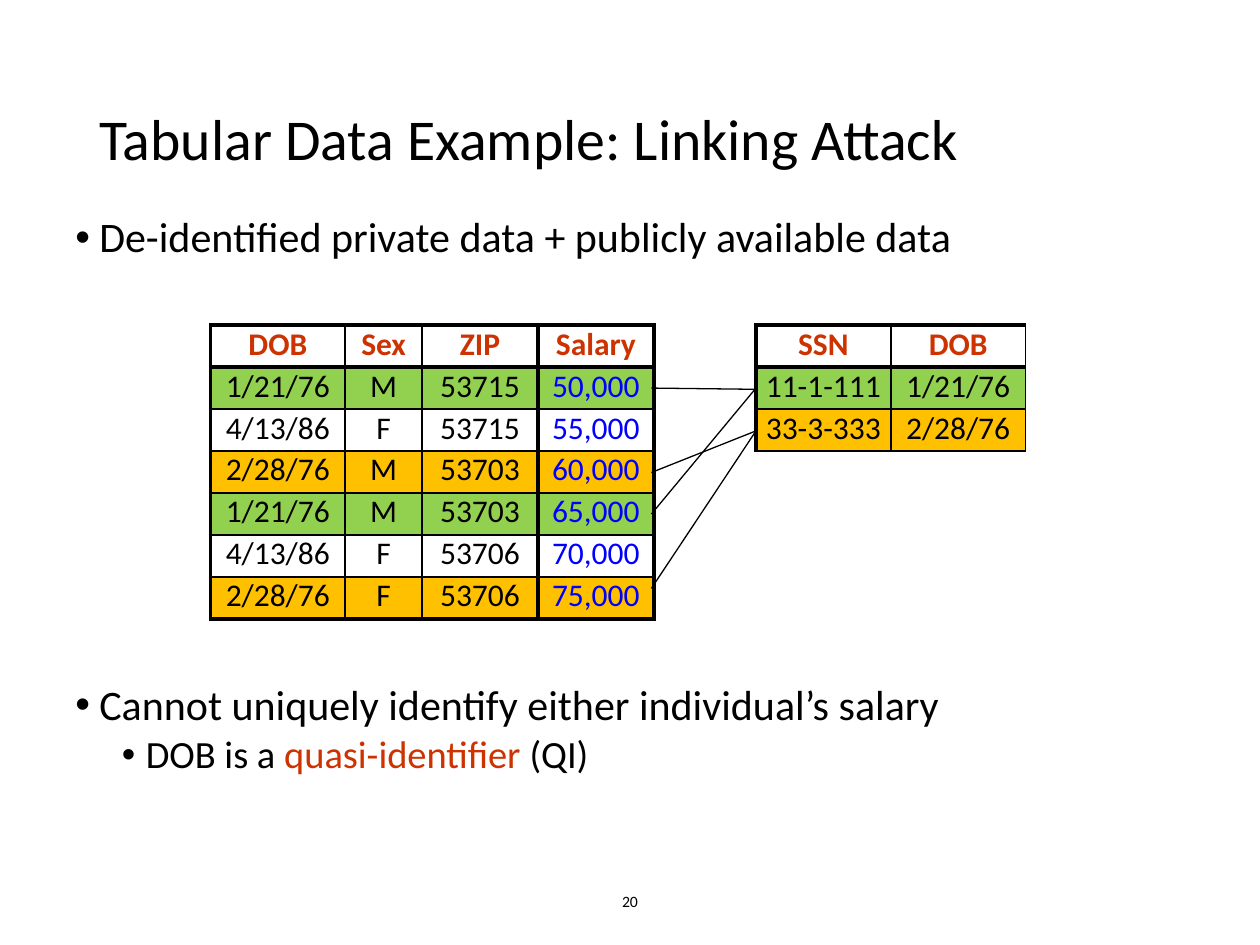
from dataclasses import dataclass
from typing import Optional

from lxml import etree
from pptx import Presentation
from pptx.dml.color import RGBColor
from pptx.enum import shapes, text
from pptx.oxml import ns
from pptx.util import Inches, Pt

BLACK = RGBColor(0x00, 0x00, 0x00)
RED = RGBColor(0xCC, 0x33, 0x00)
BLUE = RGBColor(0x00, 0x00, 0xFF)
GREEN = RGBColor(0x92, 0xD0, 0x50)
AMBER = RGBColor(0xFF, 0xC0, 0x00)
DOB_FILLS = {"1/21/76": GREEN, "2/28/76": AMBER}

FONT = "Calibri"
ROW_HEIGHT = 1 / 3
TABLE_TOP = 2.58
LINK_LEFT, LINK_RIGHT = 5.17, 6


@dataclass
class DataTable:
    left: float
    widths: list[float]
    rows: list[list[str]]
    vertical_rules: list[float]
    horizontal_rules: list[float]


@dataclass
class Link:
    salary_y: float
    ssn_y: float


PRIVATE = DataTable(
    1.67, [1.07, 0.61, 0.92, 0.92],
    [["DOB", "Sex", "ZIP", "Salary"],
     ["1/21/76", "M", "53715", "50,000"],
     ["4/13/86", "F", "53715", "55,000"],
     ["2/28/76", "M", "53703", "60,000"],
     ["1/21/76", "M", "53703", "65,000"],
     ["4/13/86", "F", "53706", "70,000"],
     ["2/28/76", "F", "53706", "75,000"]],
    [2.25, 1, 1, 3, 2.25], [2.25, 3, 1, 1, 1, 1, 1, 2.25])
PUBLIC = DataTable(
    6, [1.07, 1.07],
    [["SSN", "DOB"], ["11-1-111", "1/21/76"], ["33-3-333", "2/28/76"]],
    [2.25, 1, 1], [2.25, 3, 1, 1])
LINKS = [Link(3.08, 3.09), Link(4.08, 3.08), Link(3.75, 3.42), Link(4.67, 3.42)]


def add_bullet(paragraph, margin: float) -> None:
    props = paragraph._p.get_or_add_pPr()
    props.set("marL", str(Inches(margin)))
    props.set("indent", str(-Inches(0.19)))
    etree.SubElement(props, ns.qn("a:buFont")).set("typeface", "Arial")
    etree.SubElement(props, ns.qn("a:buChar")).set("char", "•")


def write(paragraph, *pieces: str, size: float, color: RGBColor = BLACK,
          accent: Optional[str] = None, bold: bool = False, align=None,
          spacing: Optional[float] = None, before: float = 0,
          bullet_margin: Optional[float] = None) -> None:
    """Fill a paragraph; the piece equal to accent is set in red."""
    paragraph.alignment = align
    paragraph.line_spacing = spacing
    paragraph.space_before = Pt(before)
    if bullet_margin is not None:
        add_bullet(paragraph, bullet_margin)
    for piece in pieces:
        run = paragraph.add_run()
        run.text = piece
        run.font.name = FONT
        run.font.size = Pt(size)
        run.font.bold = bold
        run.font.color.rgb = RED if piece == accent else color


def add_frame(slide, left: float, top: float, width: float, height: float,
              anchor=text.MSO_ANCHOR.TOP):
    frame = slide.shapes.add_textbox(
        Inches(left), Inches(top), Inches(width), Inches(height)).text_frame
    frame.word_wrap = True
    frame.vertical_anchor = anchor
    return frame


def rule_cell(cell, **widths: float) -> None:
    """Draw black borders, given as L, R, T and B widths in points."""
    props = cell._tc.get_or_add_tcPr()
    for position, (side, width) in enumerate(widths.items()):
        line = etree.Element(ns.qn(f"a:ln{side}"), w=str(Pt(width)))
        fill = etree.SubElement(line, ns.qn("a:solidFill"))
        etree.SubElement(fill, ns.qn("a:srgbClr")).set("val", str(BLACK))
        props.insert(position, line)


def add_data_table(slide, data: DataTable) -> None:
    table = slide.shapes.add_table(
        len(data.rows), len(data.widths), Inches(data.left), Inches(TABLE_TOP),
        Inches(sum(data.widths)), Inches(ROW_HEIGHT * len(data.rows))).table
    table.first_row = table.horz_banding = False
    for column, width in zip(table.columns, data.widths):
        column.width = Inches(width)
    header = data.rows[0]
    dob_column = header.index("DOB")
    for r, values in enumerate(data.rows):
        table.rows[r].height = Inches(ROW_HEIGHT)
        row_fill = DOB_FILLS.get(values[dob_column])
        for c, value in enumerate(values):
            cell = table.cell(r, c)
            cell.margin_left = cell.margin_right = Inches(0.05)
            cell.margin_top = cell.margin_bottom = 0
            if row_fill is None:
                cell.fill.background()
            else:
                cell.fill.solid()
                cell.fill.fore_color.rgb = row_fill
            rule_cell(cell, L=data.vertical_rules[c], R=data.vertical_rules[c + 1],
                      T=data.horizontal_rules[r], B=data.horizontal_rules[r + 1])
            body_color = BLUE if header[c] == "Salary" else BLACK
            write(cell.text_frame.paragraphs[0], value, size=18, bold=r == 0,
                  color=RED if r == 0 else body_color, align=text.PP_ALIGN.CENTER)


def add_link(slide, link: Link) -> None:
    line = slide.shapes.add_connector(
        shapes.MSO_CONNECTOR.STRAIGHT, Inches(LINK_LEFT), Inches(link.salary_y),
        Inches(LINK_RIGHT), Inches(link.ssn_y))
    line.line.color.rgb = BLACK
    line.line.width = Pt(0.75)
    etree.SubElement(line._element.spPr, ns.qn("a:effectLst"))


def main() -> None:
    deck = Presentation()
    deck.slide_width, deck.slide_height = Inches(10), Inches(7.5)
    slide = deck.slides.add_slide(deck.slide_layouts[6])

    page_number = add_frame(slide, 3.31, 6.95, 3.38, 0.4, text.MSO_ANCHOR.MIDDLE)
    write(page_number.paragraphs[0], "20", size=9, align=text.PP_ALIGN.CENTER)
    title = add_frame(slide, 0.69, 0.4, 8.62, 1.45, text.MSO_ANCHOR.MIDDLE)
    write(title.paragraphs[0], "Tabular Data Example: Linking Attack",
          size=33, spacing=0.9)

    body = add_frame(slide, 0.5, 1.67, 9.5, 5.42)
    write(body.paragraphs[0], "De-identified private data + publicly available data",
          size=24, spacing=0.9, bullet_margin=0.19)
    # The space before the second point leaves room for the tables.
    write(body.add_paragraph(), "Cannot uniquely identify either individual’s salary",
          size=24, spacing=0.9, before=241, bullet_margin=0.19)
    detail = body.add_paragraph()
    detail.level = 1
    write(detail, "DOB is a ", "quasi-identifier ", "(QI)", accent="quasi-identifier ",
          size=22, spacing=0.9, before=3.8, bullet_margin=0.56)

    for data in (PRIVATE, PUBLIC):
        add_data_table(slide, data)
    for link in LINKS:
        add_link(slide, link)
    deck.save("out.pptx")


if __name__ == "__main__":
    main()
